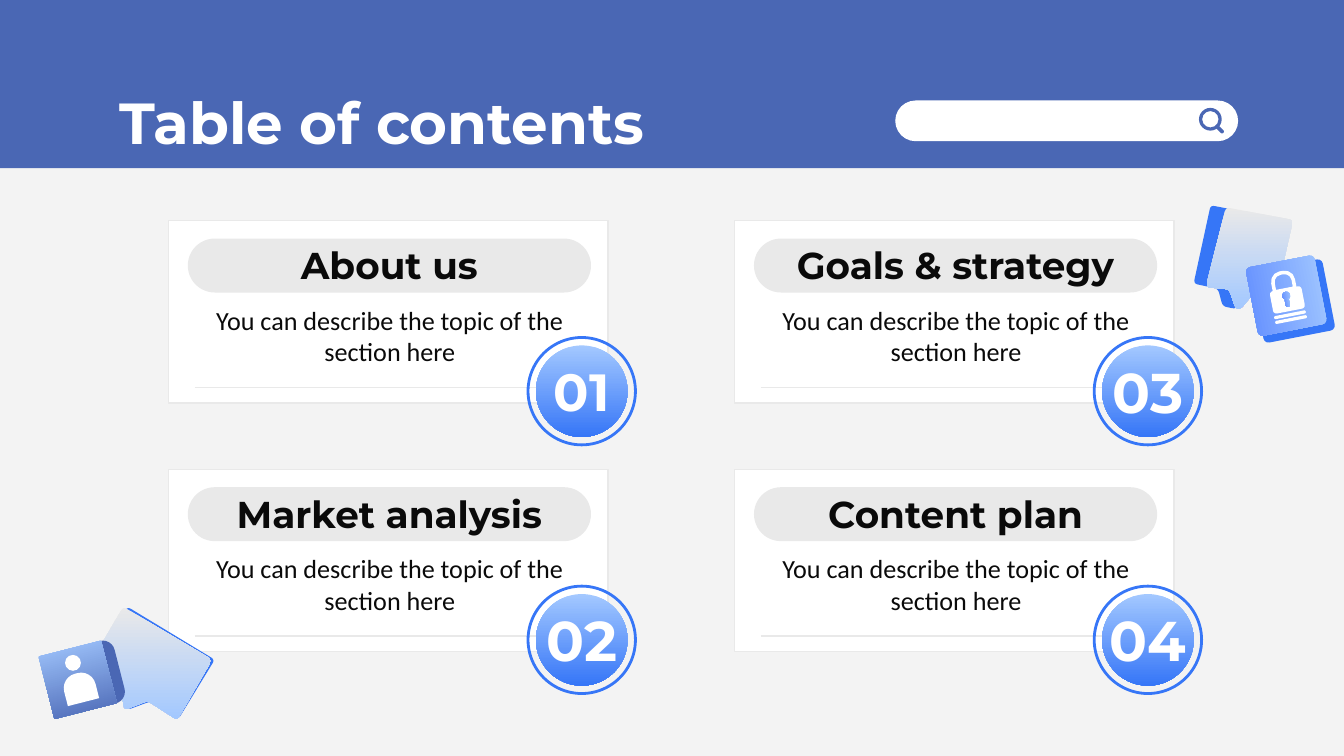
from collections import namedtuple

from lxml import etree
from pptx import Presentation
from pptx import util as u
from pptx.dml import color
from pptx.enum import shapes, text
from pptx.oxml import ns

COLORS = {
    "background": "F3F3F3", "band": "4A67B4", "white": "FFFFFF", "gray": "E9E9E9",
    "ink": "0A0A0A", "blue": "3676F7", "sky": "A3C8FF", "violet": "628EFF",
}
DOWN, LEFT = 270, 180
DISC = ("sky", "blue", DOWN)
BUBBLE = ("gray", "sky", DOWN)
LOCK = ("sky", "violet", LEFT)
PROFILE = ("sky", "band", DOWN)
KIND = shapes.MSO_SHAPE
Box = namedtuple("Box", "left top width height")


def rgb(name):
    return color.RGBColor.from_string(COLORS[name])


def inside(box, left, top, width, height):
    return Box(box.left + left, box.top + top, width, height)


def centered(box, x, y, width, height):
    return inside(box, x - width / 2, y - height / 2, width, height)


def paint(shape, fill=None, line=None, line_width=0.75):
    shape.shadow.inherit = False
    if fill is None:
        shape.fill.background()
    elif isinstance(fill, tuple):
        shape.fill.gradient()
        shape.fill.gradient_angle = fill[2]
        for stop, name in zip(shape.fill.gradient_stops, fill):
            stop.color.rgb = rgb(name)
    else:
        shape.fill.solid()
        shape.fill.fore_color.rgb = rgb(fill)
    if line is None:
        shape.line.fill.background()
    else:
        shape.line.color.rgb = rgb(line)
        shape.line.width = u.Pt(line_width)


def add_preset(slide, kind, box, adjust=None, rotation=0, **style):
    shape = slide.shapes.add_shape(kind, *map(u.Cm, box))
    if adjust is not None:
        shape.adjustments[0] = adjust
    shape.rotation = rotation
    paint(shape, **style)


def add_text(slide, box, content, size, font="Montserrat", ink="ink", bold=True,
             align=text.PP_ALIGN.CENTER):
    frame = slide.shapes.add_textbox(*map(u.Cm, box)).text_frame
    frame.word_wrap = True
    frame.vertical_anchor = text.MSO_ANCHOR.MIDDLE
    frame.margin_left = frame.margin_right = u.Cm(0.25)
    frame.margin_top = frame.margin_bottom = u.Cm(0.25)
    paragraph = frame.paragraphs[0]
    paragraph.alignment = align
    run = paragraph.add_run()
    run.text = content
    run.font.name = font
    run.font.size = u.Pt(size)
    run.font.bold = bold
    run.font.color.rgb = rgb(ink)


def round_corners(corners, radius=0.08, steps=5):
    points = []
    for index, (x, y) in enumerate(corners):
        ends = []
        for other_x, other_y in (corners[index - 1], corners[(index + 1) % len(corners)]):
            length = ((other_x - x) ** 2 + (other_y - y) ** 2) ** 0.5
            share = min(radius / length, 0.5)
            ends.append((x + (other_x - x) * share, y + (other_y - y) * share))
        (start_x, start_y), (end_x, end_y) = ends
        for step in range(steps + 1):
            t = step / steps
            a, b, c = (1 - t) ** 2, 2 * t * (1 - t), t ** 2
            points.append((a * start_x + b * x + c * end_x, a * start_y + b * y + c * end_y))
    return points


def add_bubble(slide, box, corners, fill):
    points = [(u.Cm(box.left + x), u.Cm(box.top + y)) for x, y in round_corners(corners)]
    builder = slide.shapes.build_freeform(*points[0])
    builder.add_line_segments(points[1:], close=True)
    paint(builder.convert_to_shape(), fill)


def add_header(slide, box):
    add_preset(slide, KIND.RECTANGLE, box, fill="band")
    add_text(slide, inside(box, 2.09, 1.6, 14.45, 1.57), "Table of contents", 31,
             ink="white", align=text.PP_ALIGN.LEFT)
    add_search(slide, inside(box, 17, 2, 6.48, 0.77))


def add_search(slide, box):
    add_preset(slide, KIND.ROUNDED_RECTANGLE, box, 0.5, fill="white")
    add_preset(slide, KIND.DONUT, inside(box, 5.74, 0.14, 0.43, 0.43), 0.14, fill="band")
    add_preset(slide, KIND.ROUNDED_RECTANGLE, centered(box, 6.13, 0.54, 0.2, 0.07), 0.5, 45,
               fill="band")


def add_card(slide, box, number, title, number_size):
    add_preset(slide, KIND.RECTANGLE, box, fill="white", line="gray")
    add_preset(slide, KIND.ROUNDED_RECTANGLE, inside(box, 0.37, 0.34, 7.62, 1.02), 0.5,
               fill="gray")
    rule = inside(box, 0.5, 3.15, 7.34, 0)
    connector = slide.shapes.add_connector(
        shapes.MSO_CONNECTOR.STRAIGHT, u.Cm(rule.left), u.Cm(rule.top),
        u.Cm(rule.left + rule.width), u.Cm(rule.top))
    connector.line.color.rgb = rgb("gray")
    connector.line.width = u.Pt(0.75)
    etree.SubElement(connector._element.spPr, ns.qn("a:effectLst"))
    add_text(slide, inside(box, 0.74, 0.34, 6.88, 0.99), title, 20)
    add_text(slide, inside(box, 0.38, 1.47, 7.62, 1.4),
             "You can describe the topic of the section here", 14, "Calibri", bold=False)
    add_preset(slide, KIND.OVAL, inside(box, 6.95, 2.36, 1.73, 1.73), fill=DISC)
    add_preset(slide, KIND.OVAL, inside(box, 6.8, 2.21, 2.03, 2.03), line="blue",
               line_width=1.5)
    add_text(slide, inside(box, 6.8, 2.48, 2.03, 1.47), number, number_size, ink="white")


def add_cards(slide, box):
    cards = [("01", "About us", 28), ("02", "Market analysis", 30),
             ("03", "Goals & strategy", 30), ("04", "Content plan", 30)]
    width, height = 8.31, 3.45
    for index, card in enumerate(cards):
        column, row = divmod(index, 2)
        left = column * (box.width - width)
        top = row * (box.height - height)
        add_card(slide, inside(box, left, top, width, height), *card)


def add_lock_badge(slide, box):
    add_bubble(slide, box, [(0.32, -0.01), (0, 1.47), (0.46, 1.57), (0.55, 1.9),
                            (0.81, 1.95), (0.89, 1.75), (0.89, 0.1)], "blue")
    add_bubble(slide, box, [(0.61, 0.03), (0.23, 1.54), (0.67, 1.58), (0.79, 1.94),
                            (0.89, 1.95), (1.12, 1.67), (1.55, 1.71), (1.88, 0.27)], BUBBLE)
    tilt = -11
    rounded = KIND.ROUNDED_RECTANGLE
    add_preset(slide, rounded, centered(box, 1.88, 1.8, 1.37, 1.37), 0.07, tilt, fill="blue")
    add_preset(slide, rounded, centered(box, 1.75, 1.7, 1.32, 1.32), 0.07, tilt, fill=LOCK)
    add_preset(slide, KIND.ROUND_2_SAME_RECTANGLE, centered(box, 1.69, 1.43, 0.39, 0.33),
               0.5, tilt, line="white", line_width=1.9)
    add_preset(slide, rounded, centered(box, 1.77, 1.78, 0.61, 0.43), 0.15, tilt, fill="white")
    add_preset(slide, KIND.OVAL, centered(box, 1.75, 1.7, 0.15, 0.15), None, tilt, fill=LOCK)
    add_preset(slide, rounded, centered(box, 1.77, 1.83, 0.08, 0.17), 0.5, tilt, fill=LOCK)
    for x, y in [(1.82, 2.06), (1.84, 2.15)]:
        add_preset(slide, rounded, centered(box, x, y, 0.61, 0.06), 0.5, tilt, fill="white")


def add_profile_badge(slide, box):
    add_bubble(slide, box, [(1.55, -0.01), (0.86, 1.12), (1.47, 1.47), (1.55, 1.94),
                            (1.98, 1.78), (2.51, 2.12), (3.2, 0.99)], "blue")
    add_bubble(slide, box, [(1.47, -0.01), (0.81, 1.13), (1.42, 1.49), (1.49, 1.94),
                            (1.93, 1.77), (2.49, 2.13), (3.15, 0.99)], BUBBLE)
    tilt = -14.3
    rounded = KIND.ROUNDED_RECTANGLE
    add_preset(slide, rounded, centered(box, 0.81, 1.32, 1.22, 1.22), 0.19, tilt, fill="band")
    add_preset(slide, rounded, centered(box, 0.61, 1.37, 1.22, 1.22), 0.02, tilt, fill=PROFILE)
    add_preset(slide, KIND.OVAL, centered(box, 0.52, 1.05, 0.3, 0.3), fill="white")
    add_preset(slide, KIND.ROUND_2_SAME_RECTANGLE, centered(box, 0.65, 1.52, 0.61, 0.56),
               0.5, tilt, fill="white")


def main():
    presentation = Presentation()
    presentation.slide_width = u.Cm(25.4)
    presentation.slide_height = u.Cm(14.29)
    slide = presentation.slides.add_slide(presentation.slide_layouts[6])
    slide.background.fill.solid()
    slide.background.fill.fore_color.rgb = rgb("background")
    add_header(slide, Box(-0.08, -0.1, 25.6, 3.28))
    add_cards(slide, Box(3.18, 4.17, 19.01, 8.15))
    add_lock_badge(slide, Box(22.56, 3.89, 2.67, 2.6))
    add_profile_badge(slide, Box(0.86, 11.48, 3.2, 2.13))
    presentation.save("out.pptx")


if __name__ == "__main__":
    main()
